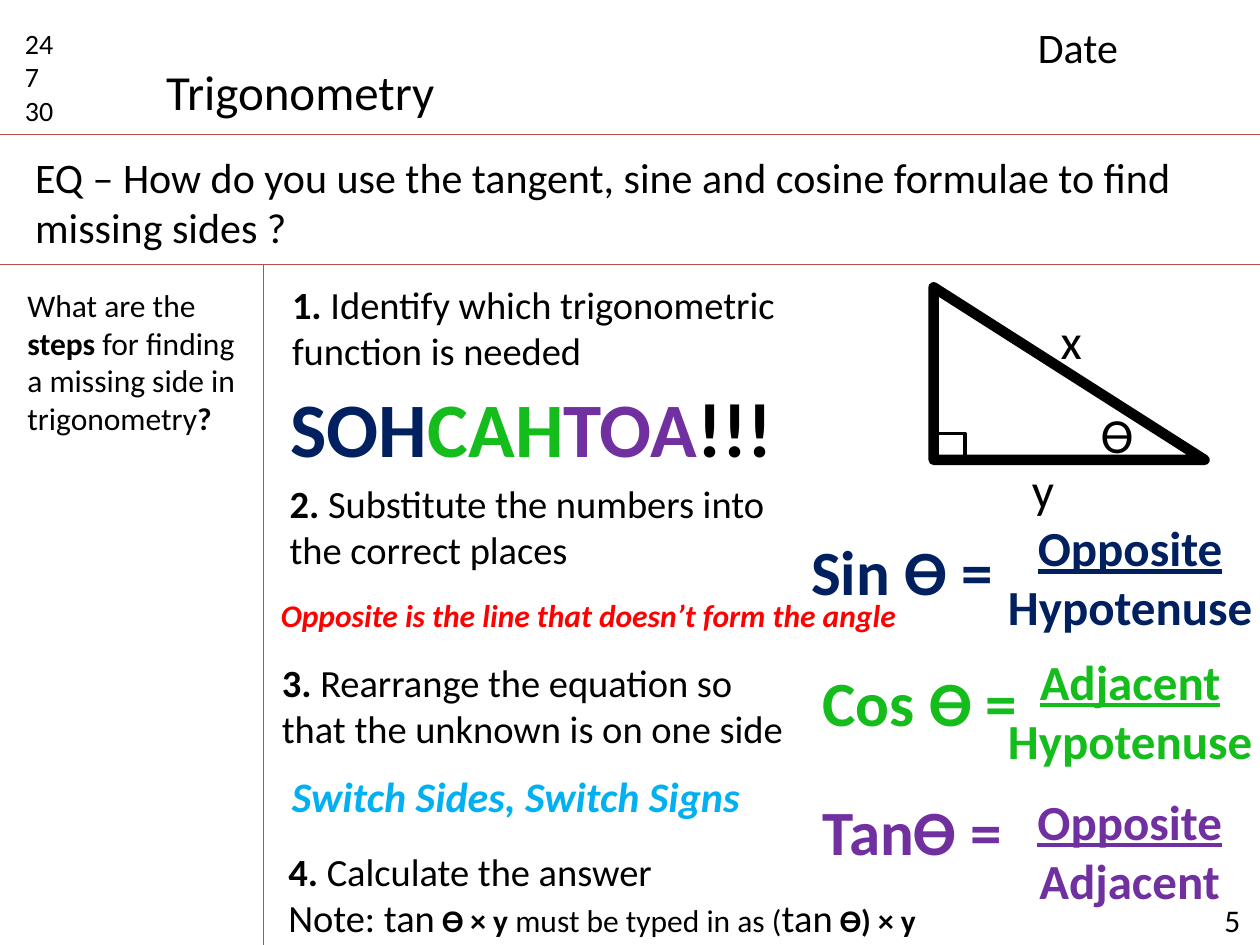
"""Build a trigonometry notes slide with steps, a triangle and three ratios."""
from pptx import Presentation
from pptx.dml.color import RGBColor
from pptx.enum.shapes import MSO_CONNECTOR as Connector, MSO_SHAPE as Preset
from pptx.enum.text import MSO_ANCHOR as Anchor, PP_ALIGN as Align
from pptx.oxml.ns import qn
from pptx.util import Pt
from lxml.etree import SubElement

BLACK = RGBColor(0x00, 0x00, 0x00)
RULE = RGBColor(0xBF, 0x4C, 0x48)
NAVY = RGBColor(0x00, 0x20, 0x60)
GREEN = RGBColor(0x14, 0xBC, 0x1C)
PURPLE = RGBColor(0x70, 0x30, 0xA0)
RED = RGBColor(0xFF, 0x00, 0x00)
SKY = RGBColor(0x00, 0xB0, 0xF0)
FONT = "Calibri"
WIDTH, HEIGHT = 720, 540

BOLD = {"bold": True}
SMALL = {"size": 18}
SMALL_BOLD = {"size": 18, "bold": True}

TITLE = ("Trigonometry", (87.8, 31.7, 169, 41))
RULES = [(0, 77, WIDTH, 77), (0, 151.2, WIDTH, 151.2), (150.5, 151.2, 150.5, HEIGHT)]

NOTES = [
    (["5"], (692.5, 511.2, 43, 29), {"size": 18}),
    (["24", "7", "30"], (7.2, 11.5, 45.4, 65.5), {"size": 16}),
    (["Date"], (586, 8.6, 124.6, 36), {"size": 24}),
    (["EQ – How do you use the tangent, sine and cosine formulae to find missing sides ?"],
     (13, 82.8, 679, 65.5), {"size": 24}),
    ([[("What are the ", {}), ("steps", BOLD),
       (" for finding a missing side in trigonometry", {}), ("?", BOLD)]],
     (8.6, 159.8, 142, 94.3), {"size": 18}),
    ([[("SOH", {"color": NAVY}), ("CAH", {"color": GREEN}),
       ("TOA", {"color": PURPLE}), ("!!!", {})]],
     (146.9, 213.8, 314, 60.5), {"size": 44, "bold": True, "align": Align.CENTER}),
    (["Opposite is the line that doesn’t form the angle"],
     (153.4, 337, 380, 29), {"size": 18, "bold": True, "italic": True, "color": RED}),
    (["Switch Sides, Switch Signs"],
     (159.8, 437, 271.4, 36), {"size": 24, "bold": True, "italic": True, "color": SKY}),
]

STEPS = [
    ("Identify which trigonometric function is needed", (159.8, 157, 303, 60.5), []),
    ("Substitute the numbers into the correct places", (158.4, 270.7, 303, 60.5), []),
    ("Rearrange the equation so that the unknown is on one side", (154, 373, 306.7, 60.5), []),
    ("Calculate the answer", (157.7, 481, 396, 60.5),
     [[("Note: tan", {}), (" ", SMALL), ("ϴ × y ", SMALL_BOLD),
       ("must be typed in as (", SMALL), ("tan", {}), (" ", SMALL), ("ϴ) × y", SMALL_BOLD)]]),
]

RATIOS = [
    ("Sin ϴ =", (456.5, 301, 122.4, 51), "Opposite", "Hypotenuse", (552.2, 292.3, 187.2, 75), NAVY),
    ("Cos ϴ =", (463, 375.8, 127.4, 51), "Adjacent", "Hypotenuse", (552.2, 368.6, 187.2, 75), GREEN),
    ("Tanϴ =", (463, 449.3, 122.4, 51), "Opposite", "Adjacent", (560, 448.6, 171, 75), PURPLE),
]

TRIANGLE = [
    (Preset.RIGHT_TRIANGLE, (533.5, 164.2, 154.8, 98.6), 6),
    (Preset.RECTANGLE, (533.5, 247.7, 18, 14.4), 2),
]
TRIANGLE_LABELS = [
    ("x", (599, 174.2, 26.6, 41)),
    ("ϴ", (622, 227.5, 51, 41)),
    ("y", (582.5, 259.2, 27.4, 41)),
]


def write(shape, paragraphs, size=18, color=BLACK, bold=False, italic=False,
          underline=False, align=Align.LEFT, wrap=True):
    """Fill a shape with paragraphs, each a string or a list of (text, format) runs."""
    base = {"size": size, "color": color, "bold": bold, "italic": italic, "underline": underline}
    frame = shape.text_frame
    frame.word_wrap = wrap
    frame.vertical_anchor = Anchor.TOP
    for index, content in enumerate(paragraphs):
        paragraph = frame.add_paragraph() if index else frame.paragraphs[0]
        paragraph.alignment = align
        for text, changes in [(content, {})] if isinstance(content, str) else content:
            style = {**base, **changes}
            run = paragraph.add_run()
            run.text = text
            run.font.name = FONT
            run.font.size = Pt(style["size"])
            run.font.color.rgb = style["color"]
            run.font.bold = style["bold"]
            run.font.italic = style["italic"]
            run.font.underline = style["underline"]


def add_text(slide, paragraphs, box, **style):
    write(slide.shapes.add_textbox(*map(Pt, box)), paragraphs, **style)


def add_rule(slide, ends):
    line = slide.shapes.add_connector(Connector.STRAIGHT, *map(Pt, ends))
    line.line.color.rgb = RULE
    line.line.width = Pt(0.75)
    SubElement(line._element.spPr, qn("a:effectLst"))


def add_outline(slide, preset, box, weight):
    shape = slide.shapes.add_shape(preset, *map(Pt, box))
    shape.shadow.inherit = False
    shape.fill.background()
    shape.line.color.rgb = BLACK
    shape.line.width = Pt(weight)


def main():
    presentation = Presentation()
    presentation.slide_width, presentation.slide_height = Pt(WIDTH), Pt(HEIGHT)
    slide = presentation.slides.add_slide(presentation.slide_layouts[5])

    text, box = TITLE
    title = slide.shapes.title
    title.left, title.top, title.width, title.height = map(Pt, box)
    write(title, [text], size=28, wrap=False)

    for ends in RULES:
        add_rule(slide, ends)
    for paragraphs, box, style in NOTES:
        add_text(slide, paragraphs, box, **style)
    for number, (text, box, extra) in enumerate(STEPS, 1):
        add_text(slide, [[(f"{number}. ", BOLD), (text, {})], *extra], box, size=22)
    for name, name_box, top, bottom, box, color in RATIOS:
        add_text(slide, [name], name_box, size=36, bold=True, color=color)
        add_text(slide, [[(top, {"underline": True})], bottom], box,
                 size=28, bold=True, color=color, align=Align.CENTER)
    for preset, box, weight in TRIANGLE:
        add_outline(slide, preset, box, weight)
    for text, box in TRIANGLE_LABELS:
        add_text(slide, [text], box, size=28, wrap=False)

    presentation.save("out.pptx")


if __name__ == "__main__":
    main()
